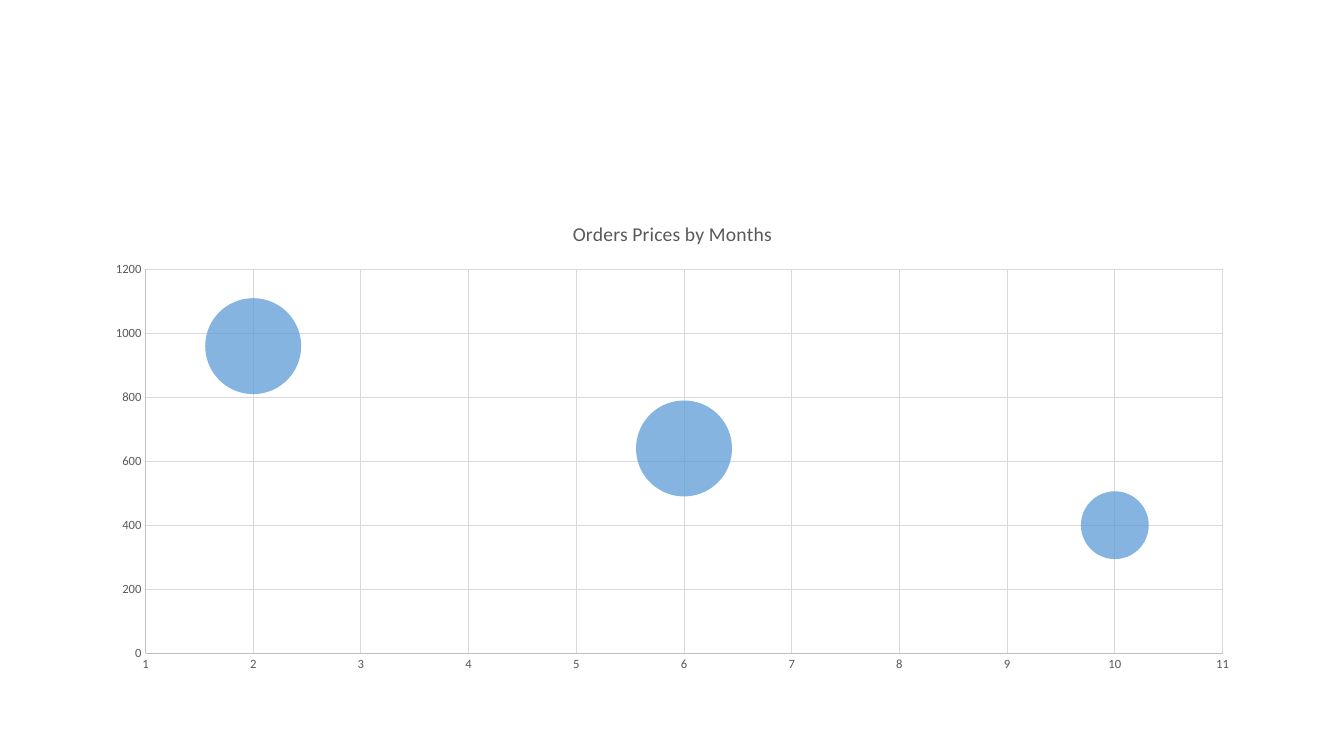
from lxml import etree
from pptx import Presentation
from pptx import util as u
from pptx.chart.data import BubbleChartData
from pptx.dml.color import RGBColor
from pptx.enum import chart as charts
from pptx.oxml.ns import qn

FONT = "Calibri"
TEXT, AXIS, GRID, BUBBLE = "595959", "BFBFBF", "D9D9D9", "5B9BD5"
ORDERS = [(2, 960, 2), (10, 400, 1), (6, 640, 2)]  # month, price, bubble size


def paint(color_format, color):
    color_format.rgb = RGBColor.from_string(color)


def style_font(font, size, color=TEXT):
    font.name = FONT
    font.size = u.Pt(size)
    font.bold = False
    paint(font.color, color)


def style_line(line, color):
    line.width = u.Pt(0.75)
    paint(line.color, color)


def style_axis(axis, minimum, maximum, step):
    axis.minimum_scale, axis.maximum_scale = minimum, maximum
    axis.major_unit = step
    axis.major_tick_mark = charts.XL_TICK_MARK.NONE
    axis.minor_tick_mark = charts.XL_TICK_MARK.NONE
    axis.has_major_gridlines = True
    style_line(axis.major_gridlines.format.line, GRID)
    style_line(axis.format.line, AXIS)
    style_font(axis.tick_labels.font, 9)


def add_orders_chart(slide, left, top, width, height):
    data = BubbleChartData(number_format="General")
    series_data = data.add_series("Series 1")
    for month, price, size in ORDERS:
        series_data.add_data_point(month, price, size)
    chart = slide.shapes.add_chart(
        charts.XL_CHART_TYPE.BUBBLE, u.Inches(left), u.Inches(top),
        u.Inches(width), u.Inches(height), data).chart
    style_font(chart.font, 10, "000000")
    chart.has_legend = False

    # Title
    chart.has_title = True
    chart.chart_title.include_in_layout = False
    title_frame = chart.chart_title.text_frame
    title_frame.text = "Orders Prices by Months"
    style_font(title_frame.paragraphs[0].runs[0].font, 14)

    # Axes
    style_axis(chart.category_axis, 1, 11, 1)
    style_axis(chart.value_axis, 0, 1200, 200)

    # Translucent bubbles
    series = chart.plots[0].series[0]
    series.format.fill.solid()
    paint(series.format.fill.fore_color, BUBBLE)
    series.format.line.fill.background()
    fill_color = series._element.spPr.find(
        f"{qn('a:solidFill')}/{qn('a:srgbClr')}")
    etree.SubElement(fill_color, qn("a:alpha")).set("val", "75000")


def main():
    presentation = Presentation()
    presentation.slide_width = u.Inches(13.33)
    presentation.slide_height = u.Inches(7.5)
    slide = presentation.slides.add_slide(presentation.slide_layouts[6])
    add_orders_chart(slide, 0.92, 2, 11.5, 4.76)
    presentation.save("out.pptx")


if __name__ == "__main__":
    main()
